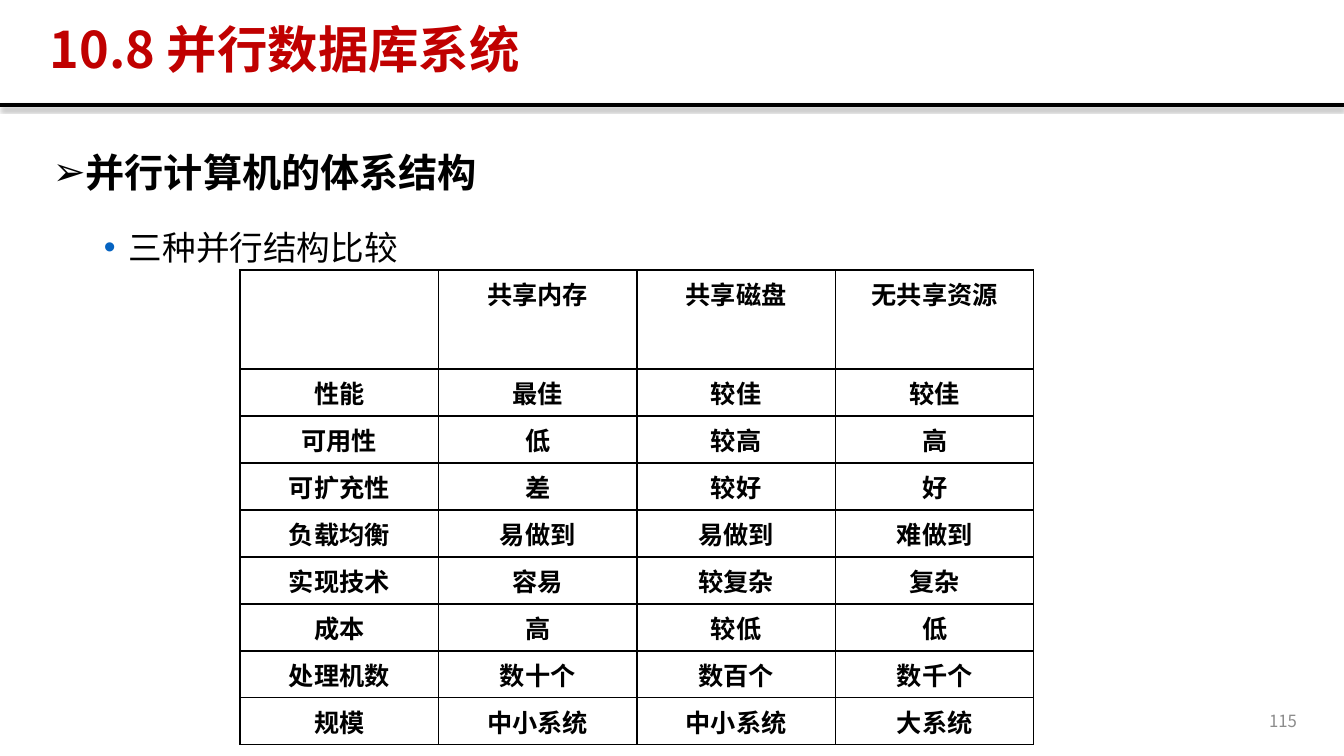
from lxml import etree
from pptx import Presentation
from pptx.dml.color import RGBColor
from pptx.enum.shapes import MSO_CONNECTOR
from pptx.enum.text import MSO_ANCHOR, PP_ALIGN
from pptx.oxml.ns import qn
from pptx.util import Pt

PX = 914400 / 100.8
WIDTH, HEIGHT = 1344, 756
BLACK = RGBColor(0x00, 0x00, 0x00)
RED = RGBColor(0xC0, 0x00, 0x00)
GREY = RGBColor(0x8C, 0x8C, 0x8C)
BLUE = RGBColor(0x05, 0x63, 0xC1)
SANS, SERIF = "Noto Sans CJK SC", "Times New Roman"
CENTER, RIGHT, JUSTIFY = PP_ALIGN.CENTER, PP_ALIGN.RIGHT, PP_ALIGN.JUSTIFY
TOP, MIDDLE = MSO_ANCHOR.TOP, MSO_ANCHOR.MIDDLE
STRAIGHT = MSO_CONNECTOR.STRAIGHT

COMPARISON = [
    ["", "共享内存", "共享磁盘", "无共享资源"],
    ["性能", "最佳", "较佳", "较佳"],
    ["可用性", "低", "较高", "高"],
    ["可扩充性", "差", "较好", "好"],
    ["负载均衡", "易做到", "易做到", "难做到"],
    ["实现技术", "容易", "较复杂", "复杂"],
    ["成本", "高", "较低", "低"],
    ["处理机数", "数十个", "数百个", "数千个"],
    ["规模", "中小系统", "中小系统", "大系统"],
]


def px(length):
    """Turn pixels into EMU."""
    return round(length * PX)


def add_xml(parent, tag, **attributes):
    """Append a drawing element with the given attributes."""
    values = {name: str(value) for name, value in attributes.items()}
    return etree.SubElement(parent, qn(tag), values)


def style(para, size, color, bold=False, align=JUSTIFY, font=SANS):
    """Set alignment and font of a paragraph."""
    para.alignment = align
    para.font.size = Pt(size)
    para.font.bold = bold
    para.font.color.rgb = color
    para.font.name = font
    latin = para.font._element.find(qn("a:latin"))
    latin.addnext(latin.makeelement(qn("a:ea"), {"typeface": SANS}))


def add_box(page, left, top, width, height, anchor=TOP):
    """Add an empty wrapping text box and return its text frame."""
    box = page.shapes.add_textbox(px(left), px(top), px(width), px(height))
    frame = box.text_frame
    frame.word_wrap = True
    frame.vertical_anchor = anchor
    return frame


def add_bullet(para, char, margin, color=None):
    """Give a paragraph a hanging bullet."""
    properties = para._p.get_or_add_pPr()
    properties.set("marL", str(px(margin)))
    properties.set("indent", str(-px(25)))
    if color is not None:
        add_xml(add_xml(properties, "a:buClr"), "a:srgbClr", val=color)
    add_xml(properties, "a:buFont", typeface="Arial")
    add_xml(properties, "a:buChar", char=char)


def add_header(page, left, top, width, height):
    """Place the title and the shadowed rule at the foot of the header."""
    para = add_box(page, left + 40, top + 19, width - 164, 66, MIDDLE).paragraphs[0]
    para.text = "10.8 并行数据库系统"
    para.line_spacing = 0.9
    style(para, 36, RED, bold=True)

    bottom = px(top + height)
    rule = page.shapes.add_connector(STRAIGHT, px(left), bottom, px(left + width), bottom)
    rule.line.color.rgb = BLACK
    rule.line.width = Pt(3)
    effects = add_xml(rule._element.spPr, "a:effectLst")
    shadow = add_xml(effects, "a:outerShdw", blurRad=Pt(3.1), dist=Pt(1.8),
                     dir=5400000, rotWithShape=0)
    add_xml(add_xml(shadow, "a:srgbClr", val=BLACK), "a:alpha", val=35000)


def add_body(page, left, top, width, height):
    """Place the heading and its bullet point."""
    frame = add_box(page, left, top, width, height)
    heading, point = frame.paragraphs[0], frame.add_paragraph()
    heading.text = "并行计算机的体系结构"
    heading.line_spacing = 1.2
    add_bullet(heading, "➢", 25)
    style(heading, 28, BLACK, bold=True)

    point.text = "三种并行结构比较"
    point.level = 1
    point.line_spacing = 1.6
    point.space_before = Pt(5)
    add_bullet(point, "•", 76, BLUE)
    style(point, 24, BLACK)


def add_borders(cell):
    """Draw a thin black line on each side of a cell."""
    properties = cell._tc.get_or_add_tcPr()
    for index, side in enumerate(("a:lnL", "a:lnR", "a:lnT", "a:lnB")):
        line = properties.makeelement(qn(side), {"w": str(Pt(1))})
        add_xml(add_xml(line, "a:solidFill"), "a:srgbClr", val=BLACK)
        properties.insert(index, line)


def add_comparison(page, left, top, width, header_height, row_height):
    """Place the comparison table with equal columns and a tall header."""
    rows, columns = len(COMPARISON), len(COMPARISON[0])
    height = header_height + (rows - 1) * row_height
    table = page.shapes.add_table(rows, columns, px(left), px(top),
                                  px(width), px(height)).table
    table.first_row = table.horz_banding = False
    for row, values in enumerate(COMPARISON):
        table.rows[row].height = px(row_height if row else header_height)
        for column, value in enumerate(values):
            cell = table.cell(row, column)
            cell.fill.background()
            add_borders(cell)
            para = cell.text_frame.paragraphs[0]
            para.text = value
            style(para, 18, BLACK, bold=True, align=CENTER, font=SERIF)


def add_page_number(page, left, top, width, height):
    """Place the page number."""
    para = add_box(page, left, top, width, height, MIDDLE).paragraphs[0]
    para.text = "115"
    style(para, 12, GREY, align=RIGHT)


def main():
    """Build the slide and save it."""
    deck = Presentation()
    deck.slide_width, deck.slide_height = px(WIDTH), px(HEIGHT)
    page = deck.slides.add_slide(deck.slide_layouts[6])
    add_header(page, 0, 0, WIDTH, 105)
    add_page_number(page, 1005, 701, 302, 40)
    add_body(page, 43, 134, 1263, 546)
    add_comparison(page, 240, 270, 794, 99, 47)
    deck.save("out.pptx")


if __name__ == "__main__":
    main()
